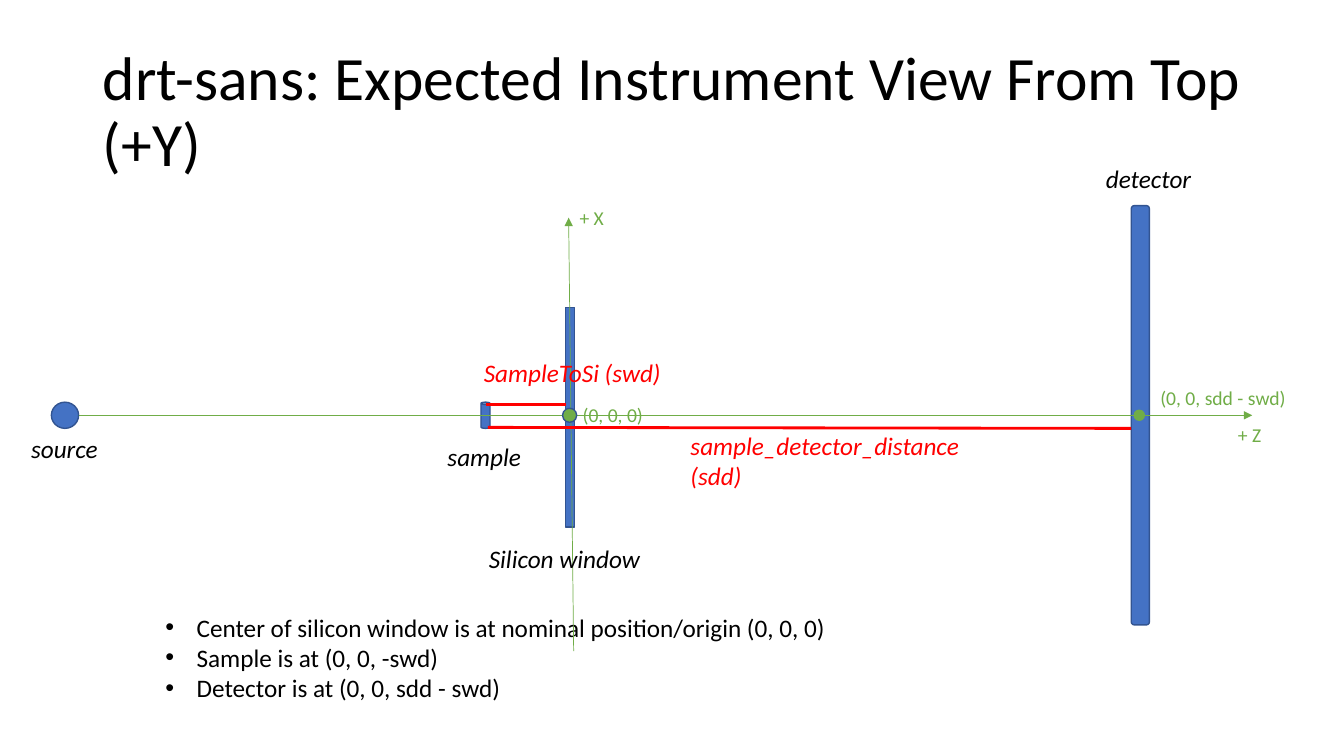
import pptx
import pptx.util
import pptx.dml.color
import pptx.enum.shapes
import pptx.enum.text
import pptx.oxml
import lxml.etree
from pptx.oxml.ns import qn

SCALE = 9144  # EMU per px, 100 px to the inch
FONT = "Calibri"
BLACK, RED, GREEN, BLUE, EDGE = "000000", "FF0000", "70AD47", "4472C4", "325491"
KIND = pptx.enum.shapes.MSO_SHAPE

TITLE = ("drt-sans: Expected Instrument View From Top (+Y)", (92, 40, 1150, 145))
NOTES = (
    [
        "Center of silicon window is at nominal position/origin (0, 0, 0)",
        "Sample is at (0, 0, -swd)",
        "Detector is at (0, 0, sdd - swd)",
    ],
    (154, 602, 683, 101),
)
INDENT = 31

# kind, box, fill, edge
PARTS = [
    (KIND.OVAL, (51, 399, 27, 26), BLUE, EDGE),
    (KIND.CAN, (477, 399, 9, 26), BLUE, EDGE),
    (KIND.RECTANGLE, (561, 305, 9, 218), BLUE, EDGE),
    (KIND.ROUNDED_RECTANGLE, (1122, 204, 18, 416), BLUE, EDGE),
]
DOTS = [
    (KIND.OVAL, (558, 405, 14, 14), GREEN, EDGE),
    (KIND.OVAL, (1125, 407, 10, 10), GREEN, GREEN),
]
# start, end
AXES = [((78, 412), (1242, 412)), ((569, 646), (564, 216))]
SPANS = [((482, 401), (561, 401)), ((484, 424), (1122, 425))]

# text, box, colour
NAMES = [
    ("source", (21, 425, 87, 40), BLACK),
    ("sample", (434, 433, 94, 40), BLACK),
    ("Silicon window", (475, 534, 172, 40), BLACK),
    ("detector", (1087, 157, 106, 40), BLACK),
    ("SampleToSi (swd)", (470, 350, 198, 40), RED),
    ("sample_detector_distance\n(sdd)", (675, 422, 289, 71), RED),
]
COORDS = [
    ("(0, 0, 0)", (568, 395, 80, 34)),
    ("+ Z", (1218, 415, 80, 34)),
    ("+ X", (565, 199, 80, 34)),
    ("(0, 0, sdd - swd)", (1141, 378, 157, 34)),
]


def emu(*nums):
    return [pptx.util.Emu(n * SCALE) for n in nums]


def tint(code):
    return pptx.dml.color.RGBColor.from_string(code)


def style(para, size, color, slant=False):
    for run in para.runs:
        run.font.name = FONT
        run.font.size = pptx.util.Pt(size)
        run.font.color.rgb = tint(color)
        run.font.italic = slant


def place(shape, box):
    shape.left, shape.top, shape.width, shape.height = emu(*box)


def draw(slide, kind, box, fill, edge):
    shape = slide.shapes.add_shape(kind, *emu(*box))
    shape.shadow.inherit = False
    shape.fill.solid()
    shape.fill.fore_color.rgb = tint(fill)
    shape.line.color.rgb = tint(edge)
    shape.line.width = pptx.util.Pt(1)


def join(slide, start, end, color, width, arrow=False):
    straight = pptx.enum.shapes.MSO_CONNECTOR.STRAIGHT
    link = slide.shapes.add_connector(straight, *emu(*start, *end))
    link.line.color.rgb = tint(color)
    link.line.width = pptx.util.Pt(width)
    if arrow:
        line = link.line._get_or_add_ln()
        lxml.etree.SubElement(line, qn("a:tailEnd"), type="triangle")
    lxml.etree.SubElement(link._element.spPr, qn("a:effectLst"))


def label(slide, text, box, color, size, slant, wrap):
    frame = slide.shapes.add_textbox(*emu(*box)).text_frame
    frame.word_wrap = wrap
    para = frame.paragraphs[0]
    para.text = text
    style(para, size, color, slant)


def head(shape):
    text, box = TITLE
    place(shape, box)
    frame = shape.text_frame
    frame.text = text
    frame.auto_size = pptx.enum.text.MSO_AUTO_SIZE.NONE
    frame.vertical_anchor = pptx.enum.text.MSO_ANCHOR.MIDDLE
    para = frame.paragraphs[0]
    para.alignment = pptx.enum.text.PP_ALIGN.LEFT
    para.line_spacing = 0.9
    style(para, 44, BLACK)


def list_notes(shape):
    lines, box = NOTES
    place(shape, box)
    frame = shape.text_frame
    frame.text = "\n".join(lines)
    frame.auto_size = pptx.enum.text.MSO_AUTO_SIZE.NONE
    for para in frame.paragraphs:
        para.space_before = pptx.util.Pt(0)
        style(para, 18, BLACK)
        props = para._p.get_or_add_pPr()
        props.set("marL", str(INDENT * SCALE))
        props.set("indent", str(-INDENT * SCALE))
        lxml.etree.SubElement(props, qn("a:buFont"), typeface="Arial")
        lxml.etree.SubElement(props, qn("a:buChar"), char="•")


def main():
    deck = pptx.Presentation()
    deck.slide_width, deck.slide_height = emu(1333, 750)
    slide = deck.slides.add_slide(deck.slide_layouts[1])
    head(slide.shapes.title)
    list_notes(slide.placeholders[1])
    for part in PARTS:
        draw(slide, *part)
    for start, end in AXES:
        join(slide, start, end, GREEN, 0.5, arrow=True)
    for start, end in SPANS:
        join(slide, start, end, RED, 2)
    for dot in DOTS:
        draw(slide, *dot)
    for text, box, color in NAMES:
        label(slide, text, box, color, 18, slant=True, wrap=False)
    for text, box in COORDS:
        label(slide, text, box, GREEN, 14, slant=False, wrap=True)
    deck.save("out.pptx")


if __name__ == "__main__":
    main()
